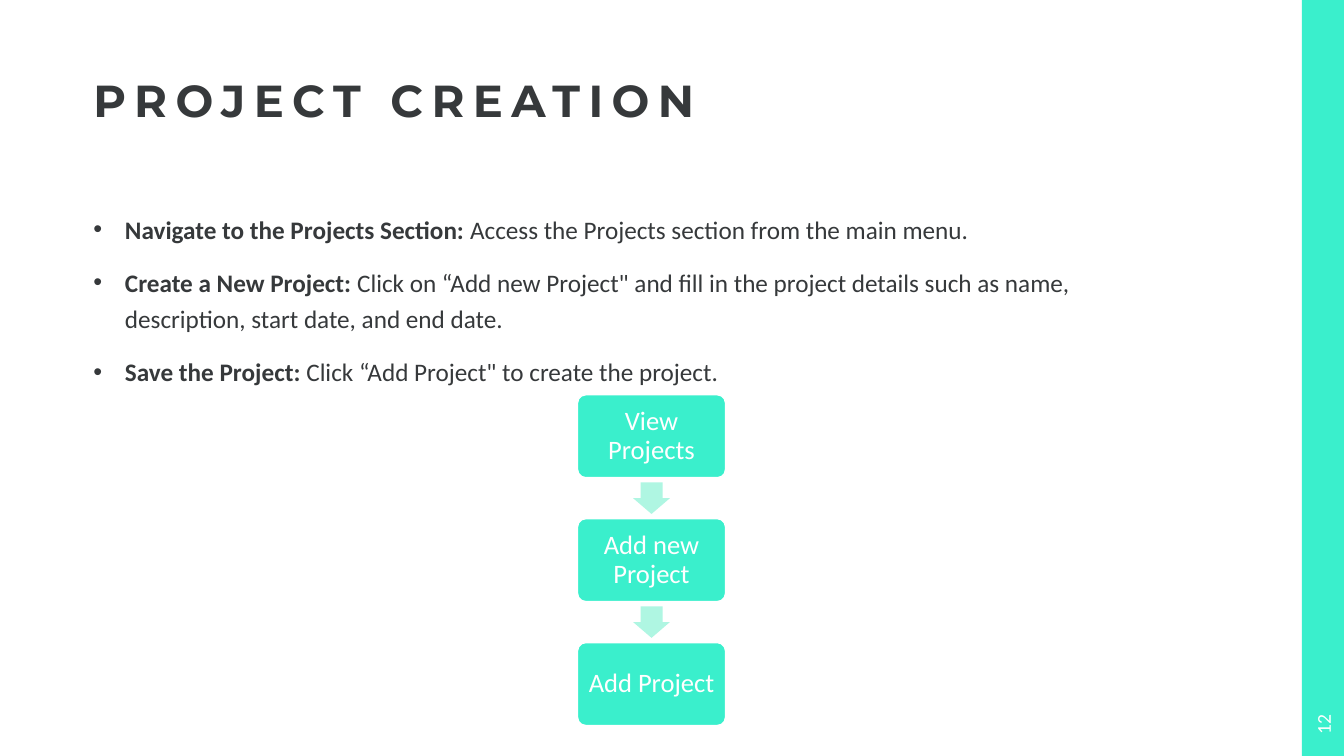
from pptx import Presentation
from pptx.dml.color import RGBColor
from pptx.enum.shapes import MSO_SHAPE
from pptx.enum.text import MSO_ANCHOR, MSO_AUTO_SIZE, PP_ALIGN
from pptx.oxml.ns import qn
from pptx.util import Emu, Pt
from lxml import etree

RECTANGLE, ROUNDED = MSO_SHAPE.RECTANGLE, MSO_SHAPE.ROUNDED_RECTANGLE
RIGHT_ARROW = MSO_SHAPE.RIGHT_ARROW
MIDDLE, BOTTOM, TOP = MSO_ANCHOR.MIDDLE, MSO_ANCHOR.BOTTOM, MSO_ANCHOR.TOP
LEFT, CENTER = PP_ALIGN.LEFT, PP_ALIGN.CENTER

TURQUOISE = RGBColor(0x3A, 0xEF, 0xCC)
PALE_TURQUOISE = RGBColor(0xAF, 0xF6, 0xE2)
CHARCOAL = RGBColor(0x36, 0x39, 0x3B)
WHITE = RGBColor(0xFF, 0xFF, 0xFF)

# Content
TITLE = "PROJECT CREATION"
INSTRUCTIONS = [
    ("Navigate to the Projects Section: ", "Access the Projects section from the main menu."),
    ("Create a New Project: ", "Click on “Add new Project\" and fill in the project details "
     "such as name, description, start date, and end date."),
    ("Save the Project:", " Click “Add Project\" to create the project."),
]
STEPS = ["View Projects", "Add new Project", "Add Project"]
PAGE_NUMBER = "12"

# Layout in px, 96 to the inch
PX = 9525
SLIDE_W, SLIDE_H = 1280, 720
SIDEBAR_W = 40
TITLE_BOX = (89, 0, 1063, 121)
BODY_BOX = (89, 193, 1059, 197)
PAGE_BOX = (1230, 670, 60, 40)
BULLET_INDENT = 30
STEP_X, STEP_Y, STEP_W, STEP_H, STEP_PITCH = 550, 376, 141, 79, 118
ARROW_W, ARROW_H = 30, 35


def px(length):
    return Emu(round(length * PX))


def place(shape, box):
    shape.left, shape.top, shape.width, shape.height = map(px, box)


def set_frame(frame, anchor, insets):
    frame.word_wrap = True
    frame.auto_size = MSO_AUTO_SIZE.NONE
    frame.vertical_anchor = anchor
    (frame.margin_left, frame.margin_top,
     frame.margin_right, frame.margin_bottom) = map(px, insets)


def add_run(paragraph, text, size, color, bold=False, font="Calibri"):
    run = paragraph.add_run()
    run.text = text
    run.font.name, run.font.size, run.font.bold = font, Pt(size), bold
    run.font.color.rgb = color
    return run


def add_filled(slide, kind, box, color):
    shape = slide.shapes.add_shape(kind, *map(px, box))
    shape.shadow.inherit = False
    shape.fill.solid()
    shape.fill.fore_color.rgb = color
    shape.line.fill.background()
    return shape


def add_bullet(paragraph):
    properties = paragraph._p.get_or_add_pPr()
    properties.set("marL", str(px(BULLET_INDENT)))
    properties.set("indent", str(-px(BULLET_INDENT)))
    etree.SubElement(properties, qn("a:buFont")).set("typeface", "Arial")
    etree.SubElement(properties, qn("a:buChar")).set("char", "•")


def main():
    prs = Presentation()
    prs.slide_width, prs.slide_height = px(SLIDE_W), px(SLIDE_H)
    slide = prs.slides.add_slide(prs.slide_layouts[1])

    # Sidebar
    add_filled(slide, RECTANGLE, (SLIDE_W - SIDEBAR_W, 0, SIDEBAR_W, SLIDE_H), TURQUOISE)

    # Title
    title = slide.shapes.title
    place(title, TITLE_BOX)
    set_frame(title.text_frame, BOTTOM, (0, 0, 0, 0))
    heading = title.text_frame.paragraphs[0]
    heading.alignment, heading.line_spacing = LEFT, 0.9
    heading_run = add_run(heading, TITLE, 32, CHARCOAL, True, "Montserrat")
    heading_run.font._element.set("spc", "600")

    # Instructions
    body = slide.placeholders[1]
    place(body, BODY_BOX)
    set_frame(body.text_frame, TOP, (0, 5, 10, 5))
    for i, (lead, detail) in enumerate(INSTRUCTIONS):
        item = body.text_frame.add_paragraph() if i else body.text_frame.paragraphs[0]
        add_bullet(item)
        item.line_spacing, item.space_before, item.space_after = 1.2, Pt(0), Pt(12)
        add_run(item, lead, 18, CHARCOAL, True)
        add_run(item, detail, 18, CHARCOAL)

    # Page number
    page = slide.shapes.add_textbox(*map(px, PAGE_BOX))
    page.rotation = 270
    set_frame(page.text_frame, MIDDLE, (10, 5, 10, 5))
    page.text_frame.paragraphs[0].alignment = CENTER
    add_run(page.text_frame.paragraphs[0], PAGE_NUMBER, 14, WHITE)

    # Steps, each with an arrow to the next
    for i, label in enumerate(STEPS):
        top = STEP_Y + i * STEP_PITCH
        step = add_filled(slide, ROUNDED, (STEP_X, top, STEP_W, STEP_H), TURQUOISE)
        step.adjustments[0] = 0.1
        step.line.color.rgb, step.line.width = WHITE, Pt(1)
        set_frame(step.text_frame, MIDDLE, (7, 7, 7, 7))
        caption = step.text_frame.paragraphs[0]
        caption.alignment, caption.line_spacing = CENTER, 0.9
        add_run(caption, label, 19, WHITE)
        if i < len(STEPS) - 1:
            center_x = STEP_X + STEP_W / 2
            center_y = top + (STEP_H + STEP_PITCH) / 2
            arrow = add_filled(slide, RIGHT_ARROW, (center_x - ARROW_W / 2, center_y - ARROW_H / 2,
                                                    ARROW_W, ARROW_H), PALE_TURQUOISE)
            arrow.rotation = 90
            arrow.adjustments[0], arrow.adjustments[1] = 0.6, 0.5

    prs.save("out.pptx")


if __name__ == "__main__":
    main()
